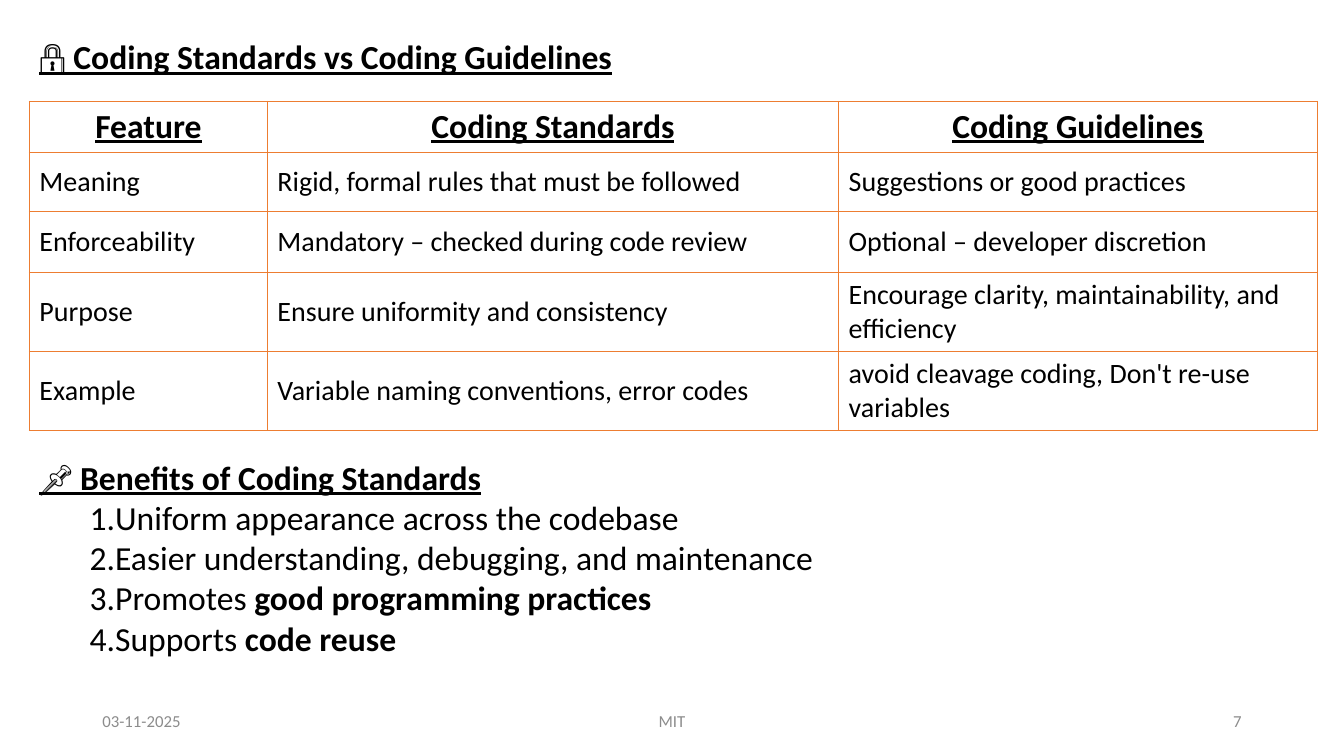
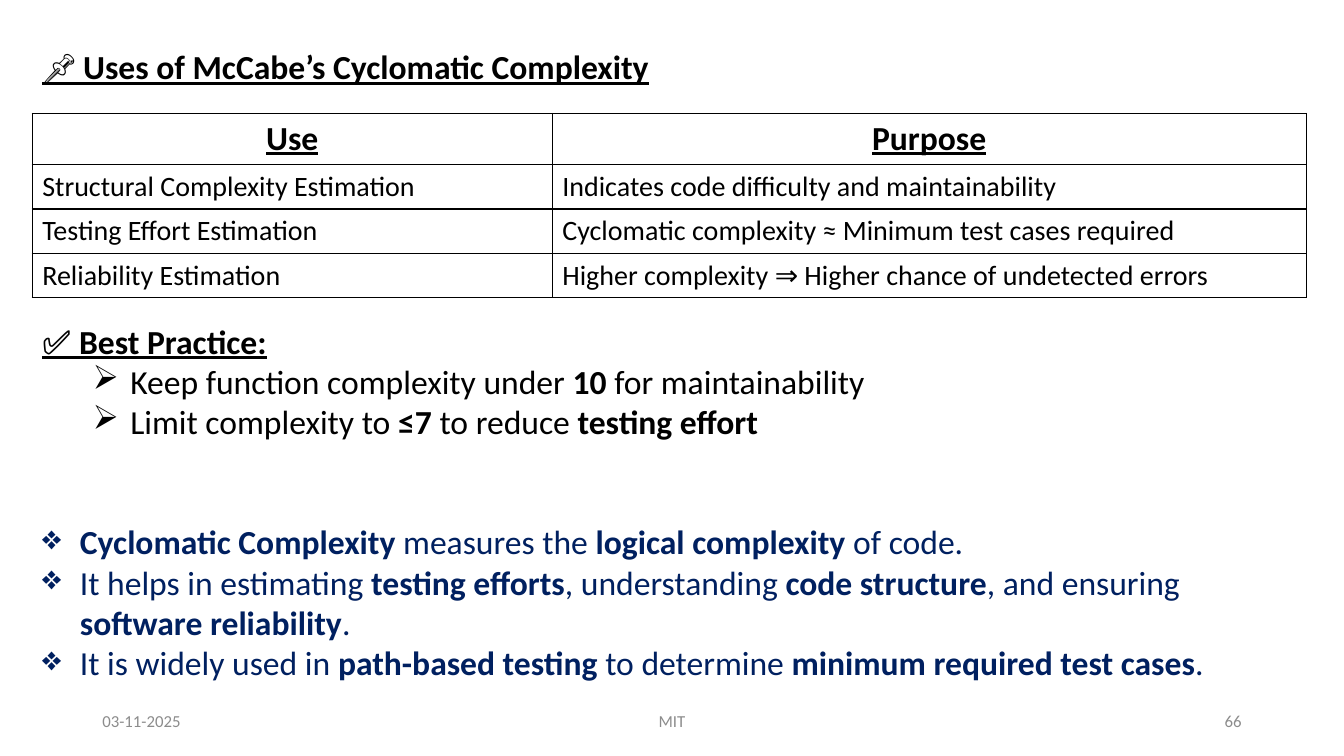
from dataclasses import dataclass

from lxml import etree
from pptx import Presentation
from pptx.dml.color import RGBColor
from pptx.enum import text as t
from pptx.oxml import ns
from pptx.util import Pt

FONT = "Calibri"
BLACK, NAVY, GREY, ORANGE = "000000", "002060", "8C8C8C", "ED7D31"
HEADING_SIZE, CELL_SIZE, FOOTER_SIZE = 24, 20, 12
LEFT, CENTER, RIGHT = t.PP_ALIGN.LEFT, t.PP_ALIGN.CENTER, t.PP_ALIGN.RIGHT
FOOTER_TOP, FOOTER_HEIGHT = 500.5, 28.8


@dataclass(frozen=True)
class Span:
    """A stretch of text with one look."""
    text: str
    bold: bool = False
    underline: bool = False


@dataclass(frozen=True)
class Bullet:
    """A list marker with its indents and level."""
    tag: str
    attribute: str
    value: str
    margin: float
    indent: float
    level: int = 0


@dataclass(frozen=True)
class Area:
    """A rectangle on the page."""
    left: float
    top: float
    width: float
    height: float

    def lengths(self) -> list:
        """Return the four lengths in points."""
        return [Pt(n) for n in (self.left, self.top, self.width, self.height)]


@dataclass(frozen=True)
class Grid:
    """A ruled table with a heading row."""
    left: float
    top: float
    widths: list
    heights: list
    border: str
    rows: list


NUMBER = Bullet("a:buAutoNum", "type", "arabicPeriod", 36, 0, 1)
ARROW = Bullet("a:buChar", "char", "➢", 63, -27, 1)
DIAMOND = Bullet("a:buChar", "char", "❖", 27, -27)


def color(value: str) -> RGBColor:
    """Turn a hex string into a colour."""
    return RGBColor.from_string(value)


def strong(words: str) -> Span:
    """Return a bold span."""
    return Span(words, bold=True)


def heading(words: str) -> Span:
    """Return a bold underlined span."""
    return Span(words, bold=True, underline=True)


def icon(symbol: str) -> Span:
    """Return a regular underlined span."""
    return Span(symbol, underline=True)


def add_spans(para, spans: list, size: float, ink: str = BLACK, align=LEFT) -> None:
    """Fill a paragraph run by run."""
    para.alignment = align
    for span in spans:
        run = para.add_run()
        run.text = span.text
        font = run.font
        font.name, font.size = FONT, Pt(size)
        font.bold, font.underline = span.bold, span.underline
        font.color.rgb = color(ink)


def add_bullet(para, bullet: Bullet) -> None:
    """Give a paragraph its list marker."""
    para.level = bullet.level
    props = para._p.get_or_add_pPr()
    props.set("marL", str(Pt(bullet.margin)))
    props.set("indent", str(Pt(bullet.indent)))
    marker = etree.SubElement(props, ns.qn(bullet.tag))
    marker.set(bullet.attribute, bullet.value)


def add_text(page, area: Area, lines: list, size: float = HEADING_SIZE,
             ink: str = BLACK, align=LEFT, anchor=t.MSO_ANCHOR.TOP) -> None:
    """Add a text box of (bullet, spans) lines."""
    frame = page.shapes.add_textbox(*area.lengths()).text_frame
    frame.word_wrap = True
    frame.vertical_anchor = anchor
    for index, (bullet, spans) in enumerate(lines):
        para = frame.add_paragraph() if index else frame.paragraphs[0]
        if bullet:
            add_bullet(para, bullet)
        add_spans(para, spans, size, ink, align)


def set_title(page, area: Area, spans: list) -> None:
    """Place and format the title placeholder."""
    title = page.shapes.title
    title.left, title.top, title.width, title.height = area.lengths()
    frame = title.text_frame
    frame.auto_size = t.MSO_AUTO_SIZE.NONE
    frame.word_wrap = False
    frame.vertical_anchor = t.MSO_ANCHOR.TOP
    add_spans(frame.paragraphs[0], spans, HEADING_SIZE)


def set_borders(cell, ink: str) -> None:
    """Rule all four sides of a cell."""
    props = cell._tc.get_or_add_tcPr()
    for side in ("a:lnL", "a:lnR", "a:lnT", "a:lnB"):
        line = etree.SubElement(props, ns.qn(side), w=str(Pt(1)))
        fill = etree.SubElement(line, ns.qn("a:solidFill"))
        etree.SubElement(fill, ns.qn("a:srgbClr"), val=ink)


def add_grid(page, grid: Grid) -> None:
    """Add a table with a centred heading row."""
    area = Area(grid.left, grid.top, sum(grid.widths), sum(grid.heights))
    table = page.shapes.add_table(
        len(grid.heights), len(grid.widths), *area.lengths()).table
    table.first_row = table.horz_banding = False
    for column, width in zip(table.columns, grid.widths):
        column.width = Pt(width)
    for index, (row, height) in enumerate(zip(table.rows, grid.heights)):
        row.height = Pt(height)
        for cell, words in zip(row.cells, grid.rows[index]):
            set_borders(cell, grid.border)
            cell.fill.background()
            cell.vertical_anchor = t.MSO_ANCHOR.MIDDLE
            para = cell.text_frame.paragraphs[0]
            if index:
                add_spans(para, [Span(words)], CELL_SIZE)
            else:
                add_spans(para, [heading(words)], HEADING_SIZE, align=CENTER)


def add_footer(page, number: int) -> None:
    """Add the date, the name and the page number."""
    for left, width, words, align in (
            (66, 216, "03-11-2025", LEFT),
            (318, 324, "MIT", CENTER),
            (678, 216, str(number), RIGHT)):
        add_text(page, Area(left, FOOTER_TOP, width, FOOTER_HEIGHT),
                 [(None, [Span(words)])], FOOTER_SIZE, GREY, align,
                 t.MSO_ANCHOR.MIDDLE)


def add_page(deck, number: int, title_area: Area, title: list, grid: Grid):
    """Add a page with its title, table and footer."""
    page = deck.slides.add_slide(deck.slide_layouts[5])
    set_title(page, title_area, title)
    add_grid(page, grid)
    add_footer(page, number)
    return page


def add_standards_page(deck) -> None:
    """Compare coding standards with guidelines."""
    grid = Grid(21, 72.5, [170, 408, 342], [36.4, 42.2, 43.6, 55.5, 55.2], ORANGE, [
        ("Feature", "Coding Standards", "Coding Guidelines"),
        ("Meaning", "Rigid, formal rules that must be followed",
         "Suggestions or good practices"),
        ("Enforceability", "Mandatory – checked during code review",
         "Optional – developer discretion"),
        ("Purpose", "Ensure uniformity and consistency",
         "Encourage clarity, maintainability, and efficiency"),
        ("Example", "Variable naming conventions, error codes",
         "avoid cleavage coding, Don't re-use variables"),
    ])
    page = add_page(deck, 7, Area(21, 22.3, 433, 36),
                    [heading("🔒 Coding Standards vs Coding Guidelines")], grid)
    add_text(page, Area(21, 322.5, 920, 153), [
        (None, [heading("📌 Benefits of Coding Standards")]),
        (NUMBER, [Span("Uniform appearance across the codebase")]),
        (NUMBER, [Span("Easier understanding, debugging, and maintenance")]),
        (NUMBER, [Span("Promotes "), strong("good programming practices")]),
        (NUMBER, [Span("Supports "), strong("code reuse")]),
    ])


def add_complexity_page(deck) -> None:
    """Show the uses of cyclomatic complexity."""
    grid = Grid(23, 81, [371.5, 538.5], [36.4] + [31.2] * 3, BLACK, [
        ("Use", "Purpose"),
        ("Structural Complexity Estimation",
         "Indicates code difficulty and maintainability"),
        ("Testing Effort Estimation",
         "Cyclomatic complexity ≈ Minimum test cases required"),
        ("Reliability Estimation",
         "Higher complexity ⇒ Higher chance of undetected errors"),
    ])
    page = add_page(deck, 66, Area(23, 29.5, 453, 36),
                    [icon("📌 "), heading("Uses of McCabe’s Cyclomatic Complexity")], grid)
    add_text(page, Area(23, 225.5, 910, 94), [
        (None, [icon("✅ "), heading("Best Practice:")]),
        (ARROW, [Span("Keep function complexity under "), strong("10"),
                 Span(" for maintainability")]),
        (ARROW, [Span("Limit complexity to "), strong("≤7"),
                 Span(" to reduce "), strong("testing effort")]),
    ])
    add_text(page, Area(23, 368, 910, 124), [
        (DIAMOND, [strong("Cyclomatic Complexity"), Span(" measures the "),
                   strong("logical complexity"), Span(" of code.")]),
        (DIAMOND, [Span("It helps in estimating "), strong("testing efforts"),
                   Span(", understanding "), strong("code structure"),
                   Span(", and ensuring "), strong("software reliability"), Span(".")]),
        (DIAMOND, [Span("It is widely used in "), strong("path-based testing"),
                   Span(" to determine "), strong("minimum required test cases"),
                   Span(".")]),
    ], ink=NAVY, anchor=t.MSO_ANCHOR.MIDDLE)


def main() -> None:
    """Build and save the deck."""
    deck = Presentation()
    deck.slide_width, deck.slide_height = Pt(960), Pt(540)
    add_standards_page(deck)
    add_complexity_page(deck)
    deck.save("out.pptx")


if __name__ == "__main__":
    main()
